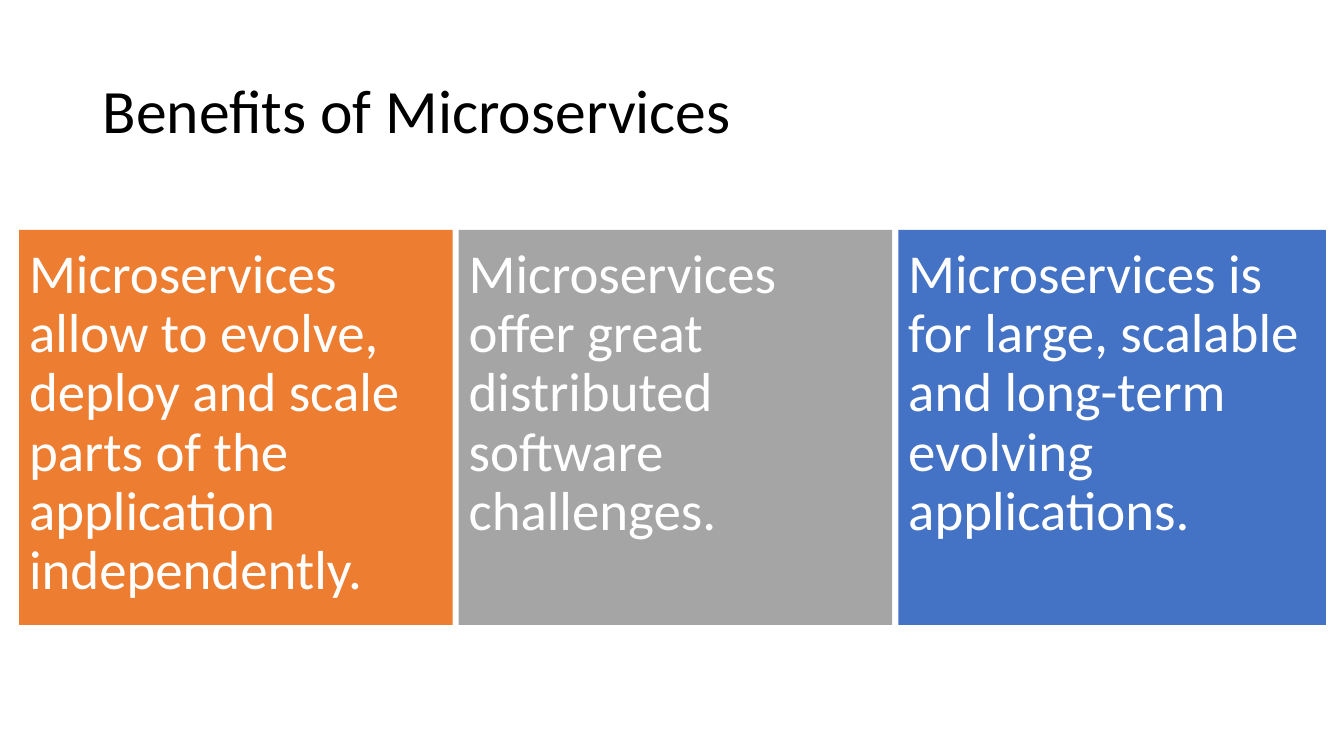
from dataclasses import dataclass

from pptx import Presentation
from pptx.dml.color import RGBColor
from pptx.enum.shapes import MSO_SHAPE
from pptx.enum.text import MSO_ANCHOR, PP_ALIGN
from pptx.util import Pt

RECT = MSO_SHAPE.RECTANGLE
TOP, MIDDLE = MSO_ANCHOR.TOP, MSO_ANCHOR.MIDDLE
LEFT = PP_ALIGN.LEFT

EMU_PER_PX = 9144
FONT = "Calibri"
COLORS = {
    "black": "000000",
    "white": "FFFFFF",
    "orange": "ED7D31",
    "gray": "A5A5A5",
    "blue": "4472C4",
}
PANEL_LEFT, PANEL_TOP, PANEL_HEIGHT, PANEL_PITCH = 19, 228, 392, 436


@dataclass
class Panel:
    text: str
    color: str
    width: int


PANELS = [
    Panel(
        "Microservices allow to evolve, deploy and scale parts of the "
        "application independently.",
        "orange",
        430,
    ),
    Panel(
        "Microservices offer great distributed software challenges.",
        "gray",
        430,
    ),
    Panel(
        "Microservices is for large, scalable and long-term evolving "
        "applications.",
        "blue",
        424,
    ),
]


def px(n: int) -> int:
    return n * EMU_PER_PX


def rgb(name: str) -> RGBColor:
    return RGBColor.from_string(COLORS[name])


def write(sp, text: str, size: float, color: str, anchor, inset_x: int, inset_y: int) -> None:
    tf = sp.text_frame
    tf.word_wrap = True
    tf.vertical_anchor = anchor
    tf.margin_left = tf.margin_right = px(inset_x)
    tf.margin_top = tf.margin_bottom = px(inset_y)
    p = tf.paragraphs[0]
    p.alignment = LEFT
    p.line_spacing = 0.9
    r = p.add_run()
    r.text = text
    r.font.name = FONT
    r.font.size = Pt(size)
    r.font.color.rgb = rgb(color)


def add_title(s, text: str) -> None:
    sp = s.shapes.add_textbox(px(92), px(40), px(1150), px(145))
    write(sp, text, 44, "black", MIDDLE, 10, 5)


def add_panel(s, panel: Panel, left: int) -> None:
    sp = s.shapes.add_shape(RECT, px(left), px(PANEL_TOP), px(panel.width), px(PANEL_HEIGHT))
    sp.shadow.inherit = False
    sp.fill.solid()
    sp.fill.fore_color.rgb = rgb(panel.color)
    sp.line.fill.background()
    write(sp, panel.text, 39.2, "white", TOP, 10, 16)


def main() -> None:
    prs = Presentation()
    prs.slide_width, prs.slide_height = px(1333), px(750)
    s = prs.slides.add_slide(prs.slide_layouts[6])
    add_title(s, "Benefits of Microservices")
    for i, panel in enumerate(PANELS):
        add_panel(s, panel, PANEL_LEFT + i * PANEL_PITCH)
    prs.save("out.pptx")


if __name__ == "__main__":
    main()
